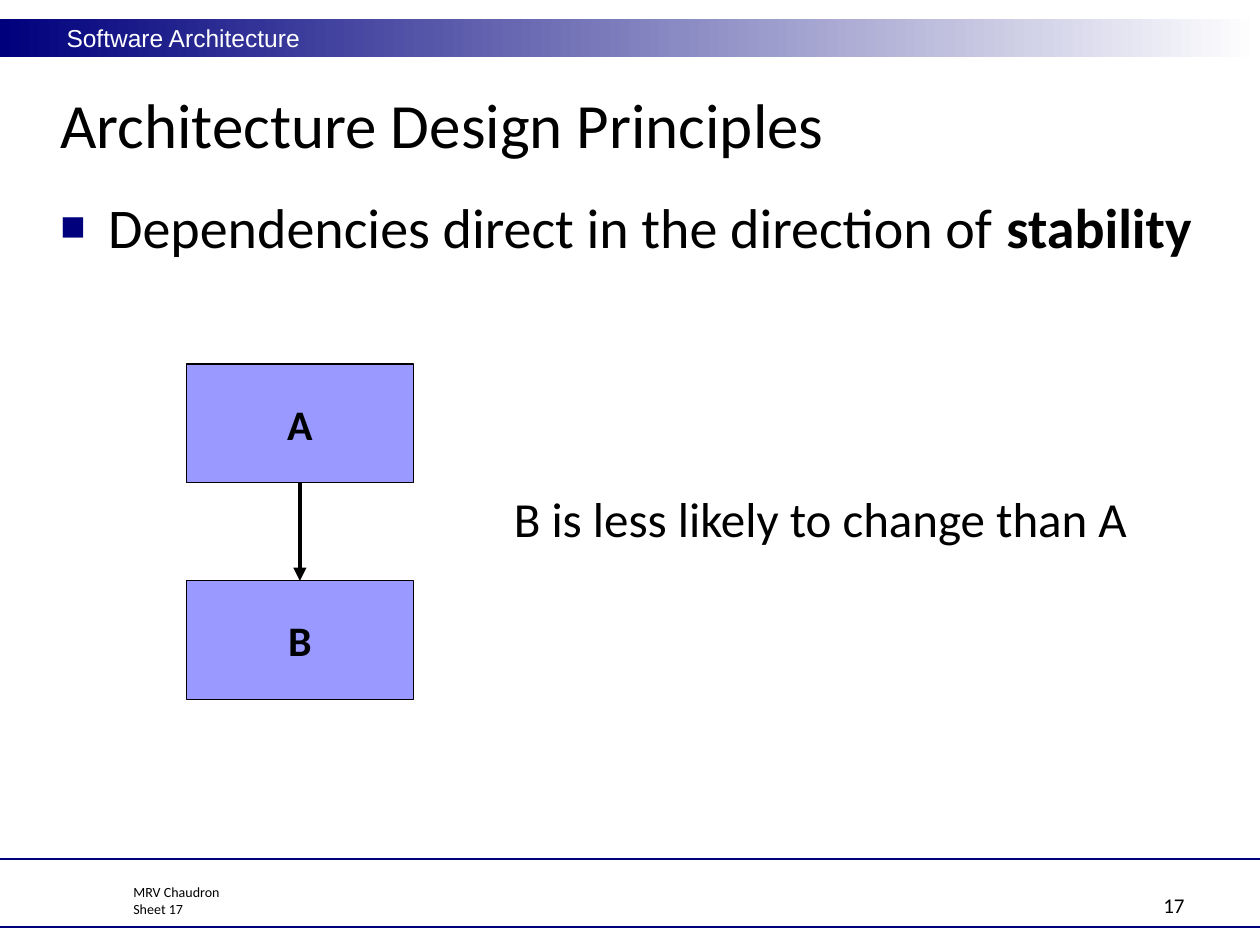
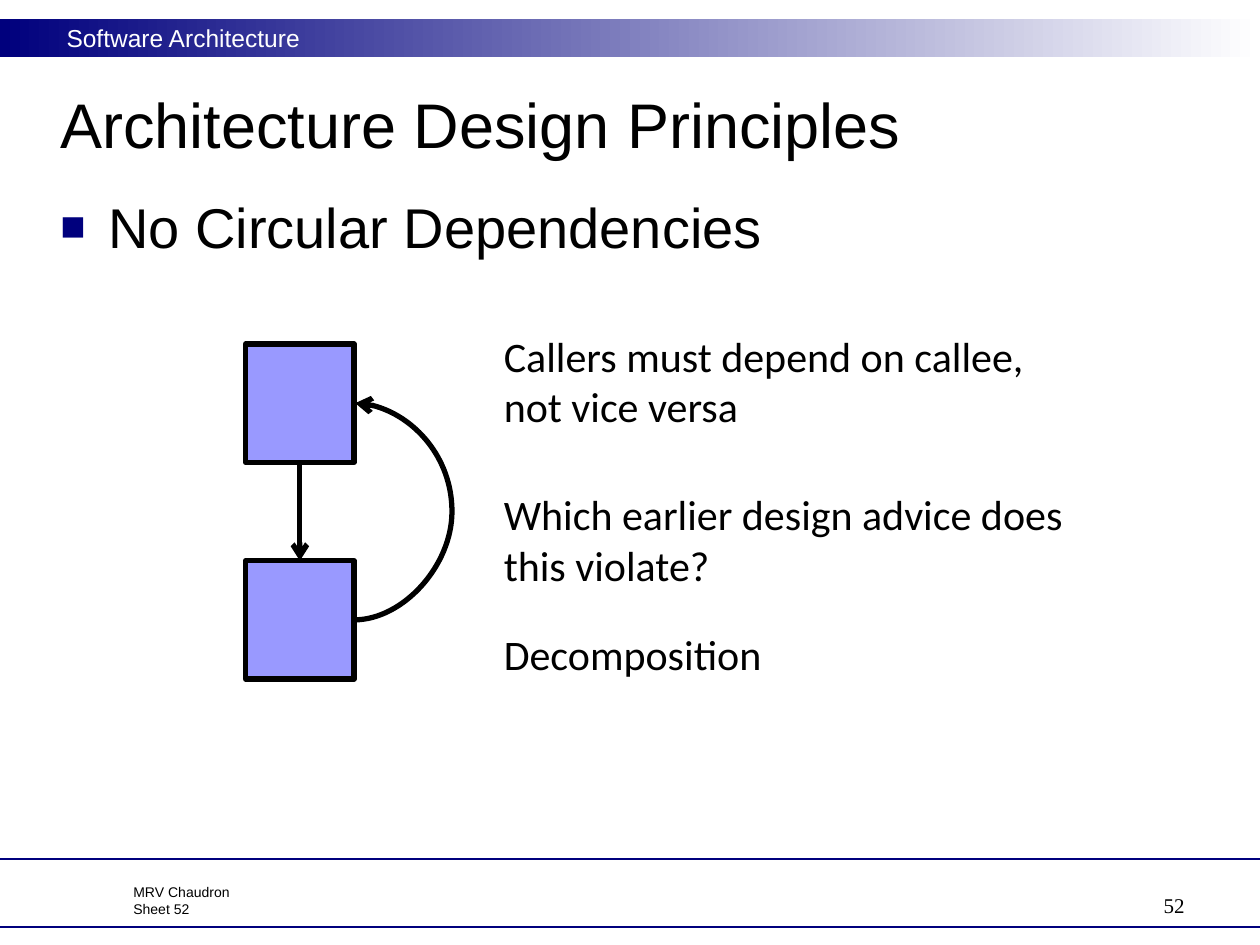
from lxml import etree
from pptx import Presentation
from pptx.dml.color import RGBColor
from pptx.enum import shapes as sh, text as tx
from pptx.oxml.ns import qn
from pptx.util import Inches, Pt

NAVY = RGBColor(0x00, 0x00, 0x7D)
LILAC = RGBColor(0x99, 0x99, 0xFF)
BLACK = RGBColor(0, 0, 0)
WHITE = RGBColor(255, 255, 255)
SANS, BODY, SERIF = "Arial", "Calibri", "Times New Roman"
LEFT, RIGHT, MID = tx.PP_ALIGN.LEFT, tx.PP_ALIGN.RIGHT, tx.PP_ALIGN.CENTER
TOP, CENTER, LOW = tx.MSO_ANCHOR.TOP, tx.MSO_ANCHOR.MIDDLE, tx.MSO_ANCHOR.BOTTOM


def sub(node, tag, **attrs):
    """Add a drawing element below a node."""
    return etree.SubElement(node, qn(tag), **attrs)


def write(shape, text, size, font=BODY, color=BLACK, bold=False,
          align=LEFT, anchor=TOP, tail=""):
    """Fill a shape with text, ending with an optional bold tail."""
    frame = shape.text_frame
    frame.word_wrap = True
    frame.vertical_anchor = anchor
    frame.text = text
    if tail:
        frame.paragraphs[-1].add_run().text = tail
    for para in frame.paragraphs:
        para.alignment = align
        for run in para.runs:
            run.font.name, run.font.size = font, Pt(size)
            run.font.color.rgb = color
            run.font.bold = bold or run.text == tail
    return frame


def label(slide, box, text, size, **style):
    """Place a text box."""
    shape = slide.shapes.add_textbox(*map(Inches, box))
    return write(shape, text, size, **style)


def block(slide, box, width):
    """Place a lilac box with a black outline."""
    shape = slide.shapes.add_shape(sh.MSO_SHAPE.RECTANGLE, *map(Inches, box))
    shape.shadow.inherit = False
    shape.fill.solid()
    shape.fill.fore_color.rgb = LILAC
    shape.line.color.rgb = BLACK
    shape.line.width = Pt(width)
    return shape


def link(slide, start, end, color, width, head="",
         kind=sh.MSO_CONNECTOR.STRAIGHT):
    """Draw a connector between two points."""
    line = slide.shapes.add_connector(kind, *map(Inches, (*start, *end)))
    line.line.color.rgb = color
    line.line.width = Pt(width)
    sub(line._element.spPr, "a:effectLst")
    if head:
        sub(line.line._get_or_add_ln(), "a:tailEnd", type=head)
    return line


def pair(slide, box, gap, width, head):
    """Stack two boxes with an arrow from upper to lower."""
    left, top, wide, high = box
    step = high + gap
    upper, lower = [block(slide, (left, top + i * step, wide, high), width)
                    for i in range(2)]
    mid = left + wide / 2
    arrow = link(slide, (mid, top + high), (mid, top + step), BLACK,
                 max(width, 2.5), head)
    arrow.begin_connect(upper, 2)
    arrow.end_connect(lower, 0)
    return upper, lower


def loop(slide, box, gap, bulge):
    """Curve an arrow from the lower box back to the upper one."""
    left, top, wide, high = box
    slim, edge, mid = 0.01, left + wide, top + high / 2
    curve = link(slide, (edge, mid + high + gap), (edge + slim, mid), BLACK, 3,
                 "arrow", sh.MSO_CONNECTOR.CURVE)
    geom = curve._element.spPr.find(qn("a:prstGeom"))
    ratio = round(bulge / slim * 100000)
    sub(geom.find(qn("a:avLst")), "a:gd", name="adj1", fmla=f"val {ratio}")


def frame(deck, number, font, digits):
    """Start a slide with its band, rules and footer."""
    slide = deck.slides.add_slide(deck.slide_layouts[6])
    band = slide.shapes.add_shape(sh.MSO_SHAPE.RECTANGLE, 0, Inches(0.15),
                                  Inches(10), Inches(0.3))
    band.shadow.inherit = False
    band.line.fill.background()
    band.fill.gradient()
    band.fill.gradient_angle = 0
    for stop, color in zip(band.fill.gradient_stops, (NAVY, WHITE)):
        stop.color.rgb = color
    for y in (6.82, 7.36):
        link(slide, (10, y), (0, y), NAVY, 1.25)
    label(slide, (0.43, 0.13, 9.14, 0.33), "Software Architecture", 14,
          font=SANS, color=WHITE)
    label(slide, (7.17, 6.83, 2.33, 0.5), str(number), 12, font=digits,
          align=RIGHT, anchor=LOW)
    label(slide, (0.96, 6.84, 6, 0.49), f"MRV Chaudron\nSheet {number}", 8,
          font=font, anchor=LOW)
    return slide


def head(slide, point, font, tail=""):
    """Write the title and the bulleted point."""
    label(slide, (0.38, 0.57, 9.35, 0.82), "Architecture Design Principles",
          36, font=font, anchor=CENTER)
    body = label(slide, (0.38, 1.48, 9.35, 0.75), point, 32, font=font,
                 tail=tail)
    props = body.paragraphs[0]._p.get_or_add_pPr()
    props.set("marL", str(Inches(0.38)))
    props.set("indent", str(-Inches(0.38)))
    sub(sub(props, "a:buClr"), "a:srgbClr", val=str(NAVY))
    sub(props, "a:buSzPct", val="75000")
    sub(props, "a:buFont", typeface=SANS)
    sub(props, "a:buChar", char="■")


def stable(deck):
    """Build the slide on stability."""
    slide = frame(deck, 17, BODY, BODY)
    head(slide, "Dependencies direct in the direction of ", BODY, "stability")
    boxes = pair(slide, (1.48, 2.89, 1.8, 0.94), 0.78, 0.75, "triangle")
    for shape, name in zip(boxes, "AB"):
        write(shape, name, 24, bold=True, align=MID, anchor=CENTER)
    label(slide, (3.98, 3.83, 5.86, 0.57), "B is less likely to change than A",
          28)


def cycle(deck):
    """Build the slide on circular dependencies."""
    slide = frame(deck, 52, SANS, SERIF)
    head(slide, "No Circular Dependencies", SANS)
    box, gap = (1.95, 2.73, 0.86, 0.94), 0.78
    pair(slide, box, gap, 3, "arrow")
    loop(slide, box, gap, 0.79)
    for top, high, text in (
            (2.57, 0.91, "Callers must depend on callee, \vnot vice versa"),
            (3.83, 0.91, "Which earlier design advice does this violate?"),
            (4.94, 0.5, "Decomposition")):
        label(slide, (3.9, top, 5.2, high), text, 24)


def main():
    """Build and save the deck."""
    deck = Presentation()
    deck.slide_width, deck.slide_height = Inches(10), Inches(7.5)
    stable(deck)
    cycle(deck)
    deck.save("out.pptx")


if __name__ == "__main__":
    main()
